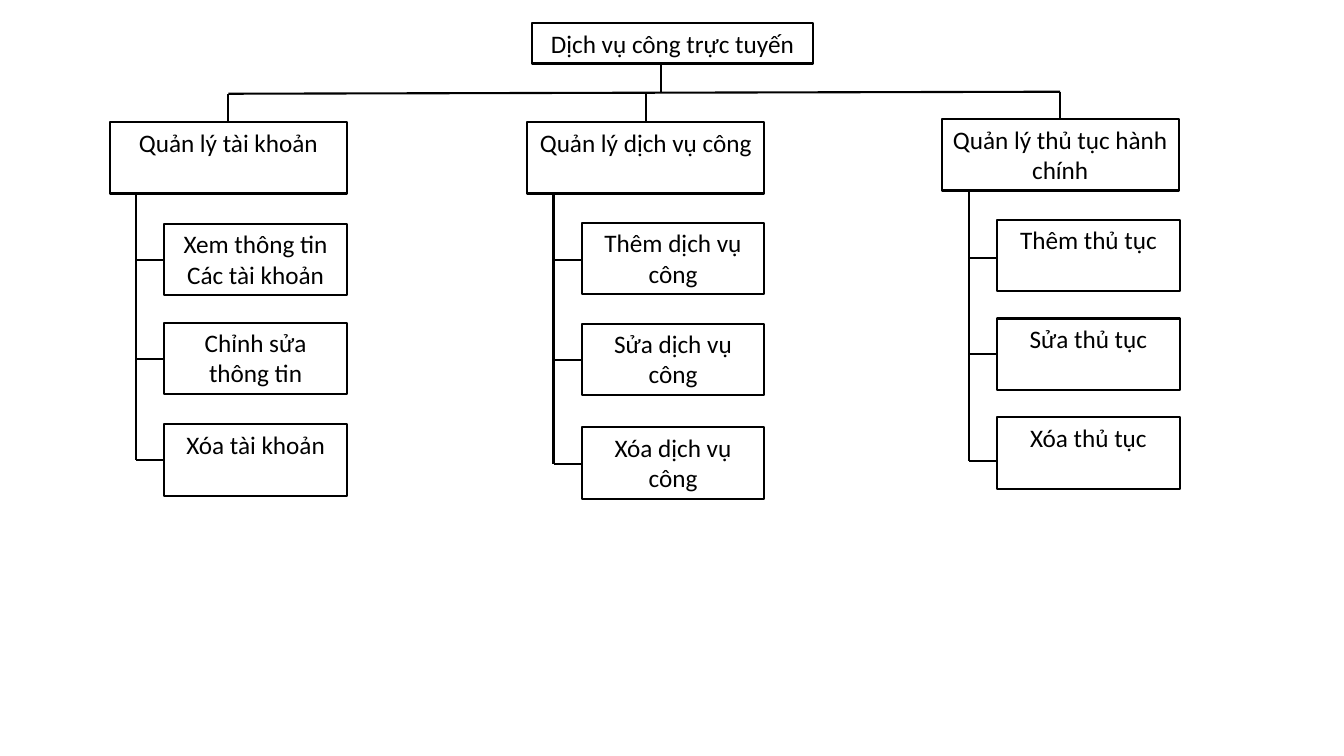
from dataclasses import dataclass

from lxml import etree
from pptx import Presentation
from pptx.dml.color import RGBColor
from pptx.enum.shapes import MSO_CONNECTOR, MSO_SHAPE
from pptx.enum.text import MSO_ANCHOR, MSO_AUTO_SIZE, PP_ALIGN
from pptx.oxml.ns import qn
from pptx.util import Inches, Pt

RECTANGLE = MSO_SHAPE.RECTANGLE
STRAIGHT = MSO_CONNECTOR.STRAIGHT
TOP = MSO_ANCHOR.TOP
FIXED = MSO_AUTO_SIZE.NONE
CENTER = PP_ALIGN.CENTER
TITLE_ONLY = 5


@dataclass(frozen=True)
class Theme:
    ink: RGBColor = RGBColor(0x00, 0x00, 0x00)
    paper: RGBColor = RGBColor(0xFF, 0xFF, 0xFF)
    font: str = "Calibri"
    text_size: float = 18
    line_width: float = 1.5


@dataclass(frozen=True)
class Branch:
    heading: str
    left: float
    top: float
    trunk_x: float
    leaves: tuple


ROOT = "Dịch vụ công trực tuyến"
ROOT_BOX = (5.28, 0.23, 2.78, 0.4)
ROOT_STEM_X = 6.56
BOX_HEIGHT = 0.71
HEADING_WIDTH = 2.35
LEAF_WIDTH = 1.81
LEAF_INDENT = 0.28
BUS_START_Y, BUS_MIDDLE_Y, BUS_END_Y = 0.93, 0.92, 0.91

BRANCHES = (
    Branch("Quản lý tài khoản", 1.09, 1.21, 1.35, (
        ("Xem thông tin\nCác tài khoản", 2.22, 2.58),
        ("Chỉnh sửa thông tin", 3.2, 3.56),
        ("Xóa tài khoản", 4.21, 4.56),
    )),
    Branch("Quản lý dịch vụ công", 5.23, 1.21, 5.49, (
        ("Thêm dịch vụ công", 2.21, 2.58),
        ("Sửa dịch vụ\ncông", 3.21, 3.57),
        ("Xóa dịch vụ công", 4.24, 4.6),
    )),
    Branch("Quản lý thủ tục hành chính", 9.34, 1.18, 9.61, (
        ("Thêm thủ tục", 2.18, 2.56),
        ("Sửa thủ tục", 3.16, 3.51),
        ("Xóa thủ tục", 4.14, 4.57),
    )),
)


def write_text(frame, text, *, font, size, color, align=CENTER, anchor=TOP):
    frame.word_wrap = True
    frame.auto_size = FIXED
    frame.vertical_anchor = anchor
    frame.margin_left = frame.margin_right = Inches(0.1)
    frame.margin_top = frame.margin_bottom = Inches(0.05)
    frame.text = text
    for paragraph in frame.paragraphs:
        paragraph.alignment = align
        paragraph.line_spacing = 1.0
        paragraph.space_before = paragraph.space_after = Pt(0)
        paragraph.font.name = font
        paragraph.font.size = Pt(size)
        paragraph.font.color.rgb = color


class Diagram:
    def __init__(self, slide, theme):
        self.slide = slide
        self.theme = theme

    def outline(self, line):
        line.color.rgb = self.theme.ink
        line.width = Pt(self.theme.line_width)

    def dress(self, node, text):
        theme = self.theme
        node.fill.solid()
        node.fill.fore_color.rgb = theme.paper
        self.outline(node.line)
        write_text(node.text_frame, text, font=theme.font,
                   size=theme.text_size, color=theme.ink)

    def title(self, text, left, top, width, height):
        root = self.slide.shapes.title
        root.left, root.top = Inches(left), Inches(top)
        root.width, root.height = Inches(width), Inches(height)
        self.dress(root, text)

    def box(self, text, left, top, width):
        node = self.slide.shapes.add_shape(
            RECTANGLE, Inches(left), Inches(top), Inches(width), Inches(BOX_HEIGHT))
        node.shadow.inherit = False
        self.dress(node, text)

    def line(self, x1, y1, x2, y2):
        link = self.slide.shapes.add_connector(
            STRAIGHT, Inches(x1), Inches(y1), Inches(x2), Inches(y2))
        self.outline(link.line)
        etree.SubElement(link._element.spPr, qn("a:effectLst"))

    def branch(self, branch, bus_y):
        center = branch.left + HEADING_WIDTH / 2
        self.line(center, branch.top, center, bus_y)
        self.box(branch.heading, branch.left, branch.top, HEADING_WIDTH)
        leaf_left = branch.trunk_x + LEAF_INDENT
        for text, top, link_y in branch.leaves:
            self.line(branch.trunk_x, link_y, leaf_left, link_y)
            self.box(text, leaf_left, top, LEAF_WIDTH)
        trunk_end = branch.leaves[-1][2]
        self.line(branch.trunk_x, branch.top + BOX_HEIGHT, branch.trunk_x, trunk_end)


def main():
    deck = Presentation()
    deck.slide_width, deck.slide_height = Inches(13.33), Inches(7.5)
    theme = Theme()
    slide = deck.slides.add_slide(deck.slide_layouts[TITLE_ONLY])
    slide.background.fill.solid()
    slide.background.fill.fore_color.rgb = theme.paper

    diagram = Diagram(slide, theme)
    diagram.title(ROOT, *ROOT_BOX)
    diagram.line(ROOT_STEM_X, ROOT_BOX[1] + ROOT_BOX[3], ROOT_STEM_X, BUS_MIDDLE_Y)
    bus_left, bus_right = (
        branch.left + HEADING_WIDTH / 2 for branch in (BRANCHES[0], BRANCHES[-1]))
    diagram.line(bus_left, BUS_START_Y, bus_right, BUS_END_Y)
    for branch, bus_y in zip(BRANCHES, (BUS_START_Y, BUS_MIDDLE_Y, BUS_END_Y)):
        diagram.branch(branch, bus_y)
    deck.save("out.pptx")


if __name__ == "__main__":
    main()
